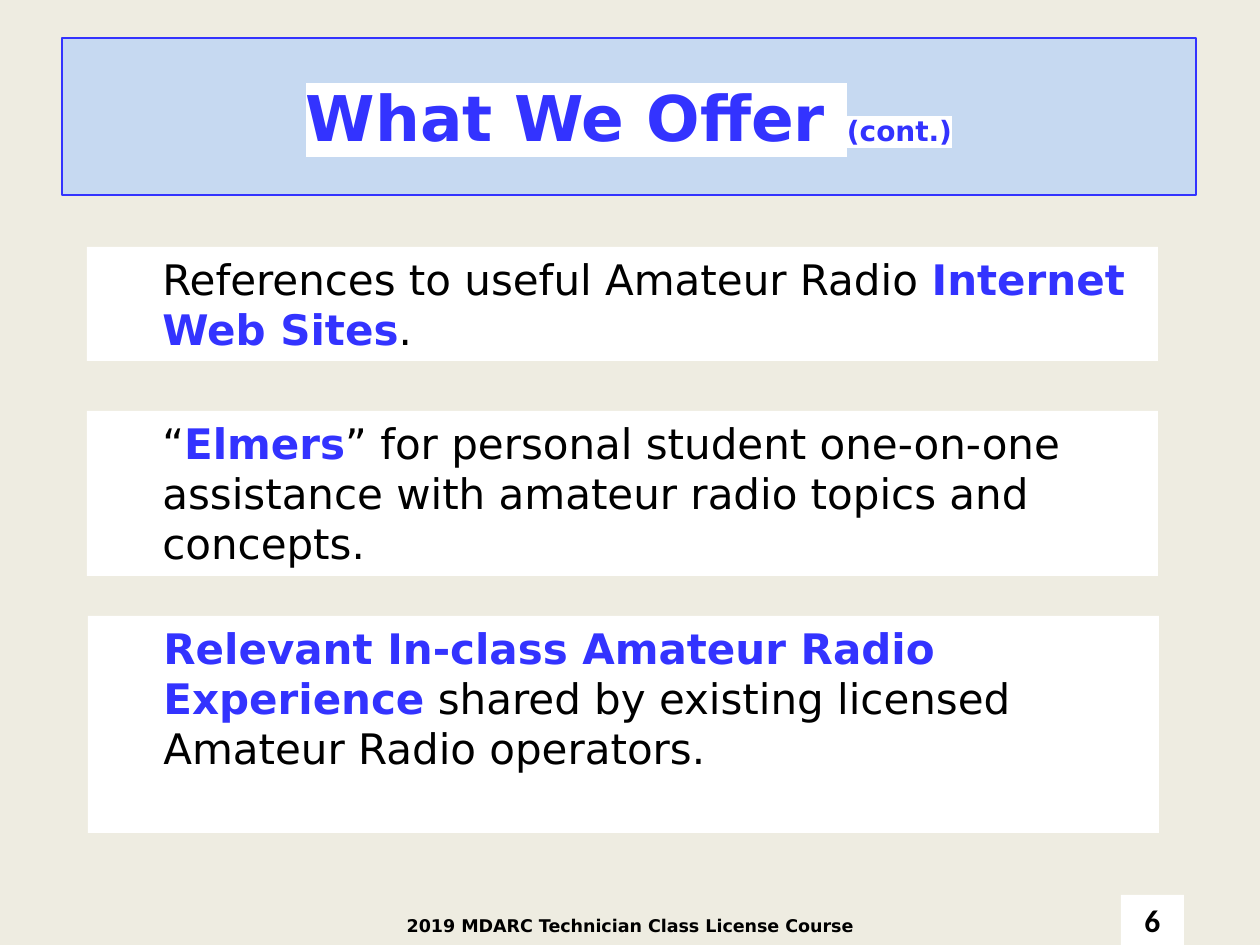
from lxml import etree
from pptx import Presentation, util as u
from pptx.dml.color import RGBColor
from pptx.enum import shapes, text
from pptx.oxml.ns import qn

PX = 914400 / 126
BEIGE = RGBColor(0xEE, 0xEC, 0xE1)
PALE_BLUE = RGBColor(0xC6, 0xD9, 0xF1)
BLUE = RGBColor(0x33, 0x33, 0xFF)
WHITE = RGBColor(0xFF, 0xFF, 0xFF)
BLACK = RGBColor(0, 0, 0)
SANS, NUMBER_FONT = "DejaVu Sans", "Calibri"
INDENT = 63

# Offers: (left, top, width, height) in px, then (words, is key phrase)
OFFERS = [
    ((87, 247, 1071, 114), [
        ("References to useful Amateur Radio ", False),
        ("Internet Web Sites", True),
        (".", False)]),
    ((87, 411, 1071, 165), [
        ("“", False),
        ("Elmers", True),
        ("” for personal student one-on-one assistance with amateur radio "
         "topics and concepts.", False)]),
    ((88, 616, 1071, 217), [
        ("Relevant In-class Amateur Radio Experience", True),
        (" shared by existing licensed Amateur Radio operators.", False)]),
]
TITLE = [("What We Offer ", 36), ("(cont.)", 16)]
PAGE_NUMBER = "6"
FOOTER = "2019 MDARC Technician Class License Course"


def emu(px):
    return u.Emu(round(px * PX))


def add_box(s, box, fill, line=None):
    sp = s.shapes.add_shape(shapes.MSO_SHAPE.RECTANGLE, *map(emu, box))
    sp.shadow.inherit = False
    sp.fill.solid()
    sp.fill.fore_color.rgb = fill
    if line is None:
        sp.line.fill.background()
    else:
        sp.line.color.rgb = line
        sp.line.width = u.Pt(0.75)
    return sp


def set_frame(sp, anchor, align):
    tf = sp.text_frame
    tf.word_wrap = True
    tf.vertical_anchor = anchor
    p = tf.paragraphs[0]
    p.alignment = align
    return p


def add_run(p, words, size, color, bold=True, name=SANS):
    r = p.add_run()
    r.text = words
    for key, value in dict(size=u.Pt(size), bold=bold, name=name).items():
        setattr(r.font, key, value)
    r.font.color.rgb = color
    return r


def highlight(r, color):
    mark = etree.Element(qn("a:highlight"))
    etree.SubElement(mark, qn("a:srgbClr"), val=str(color))
    r.font.fill  # the highlight must follow the text fill
    r._r.rPr.find(qn("a:solidFill")).addnext(mark)


def main():
    prs = Presentation()
    prs.slide_width, prs.slide_height = emu(1260), emu(945)
    s = prs.slides.add_slide(prs.slide_layouts[6])
    s.background.fill.solid()
    s.background.fill.fore_color.rgb = BEIGE
    middle, center = text.MSO_ANCHOR.MIDDLE, text.PP_ALIGN.CENTER

    title = add_box(s, (62, 38, 1134, 157), PALE_BLUE, BLUE)
    p = set_frame(title, middle, center)
    for words, size in TITLE:
        highlight(add_run(p, words, size, BLUE), WHITE)

    for box, runs in OFFERS:
        offer = add_box(s, box, WHITE)
        p = set_frame(offer, text.MSO_ANCHOR.TOP, text.PP_ALIGN.LEFT)
        p.level = 1
        pPr = p._p.get_or_add_pPr()
        pPr.set("marL", str(emu(INDENT)))
        pPr.set("indent", "0")
        for words, key in runs:
            add_run(p, words, 24, BLUE if key else BLACK, key)

    number = add_box(s, (1121, 895, 63, 50), WHITE)
    add_run(set_frame(number, middle, center), PAGE_NUMBER, 18, BLACK, name=NUMBER_FONT)

    footer = s.shapes.add_textbox(*map(emu, (378, 907, 504, 38)))
    add_run(set_frame(footer, middle, center), FOOTER, 10, BLACK)

    prs.save("out.pptx")


if __name__ == "__main__":
    main()
